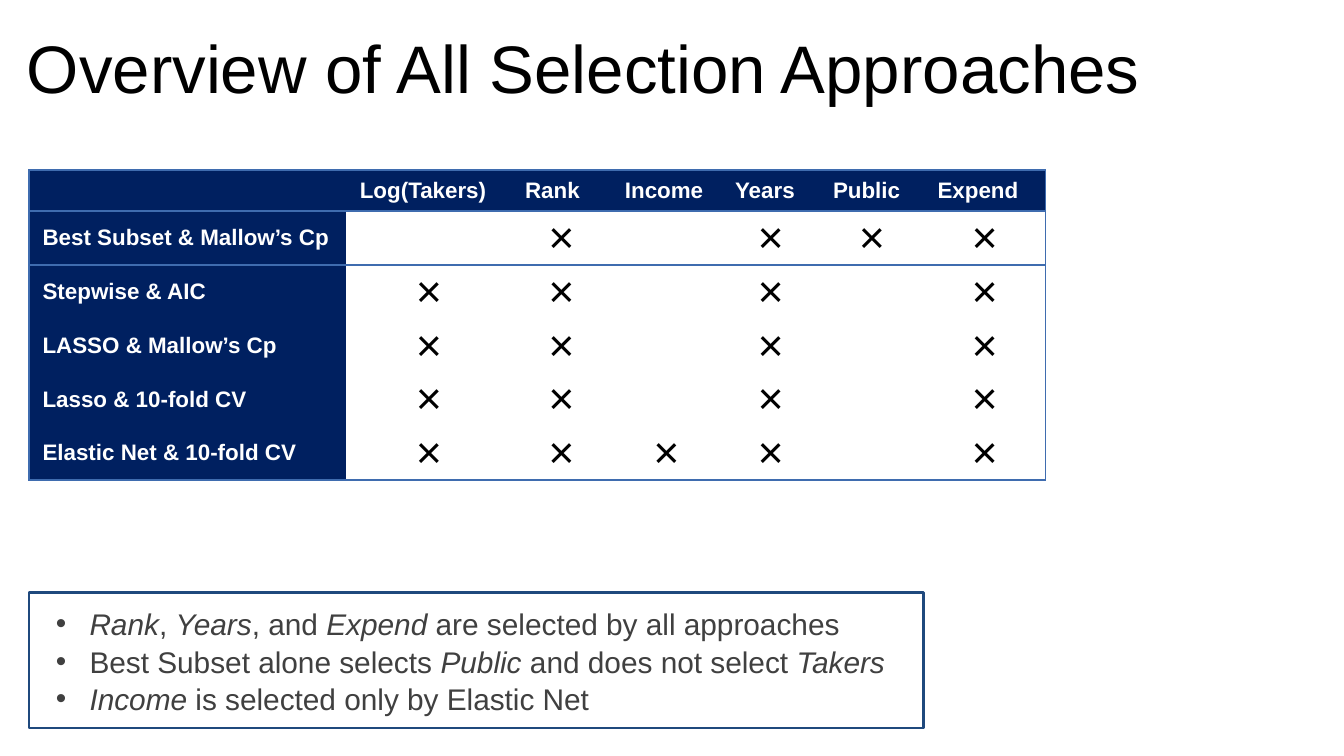
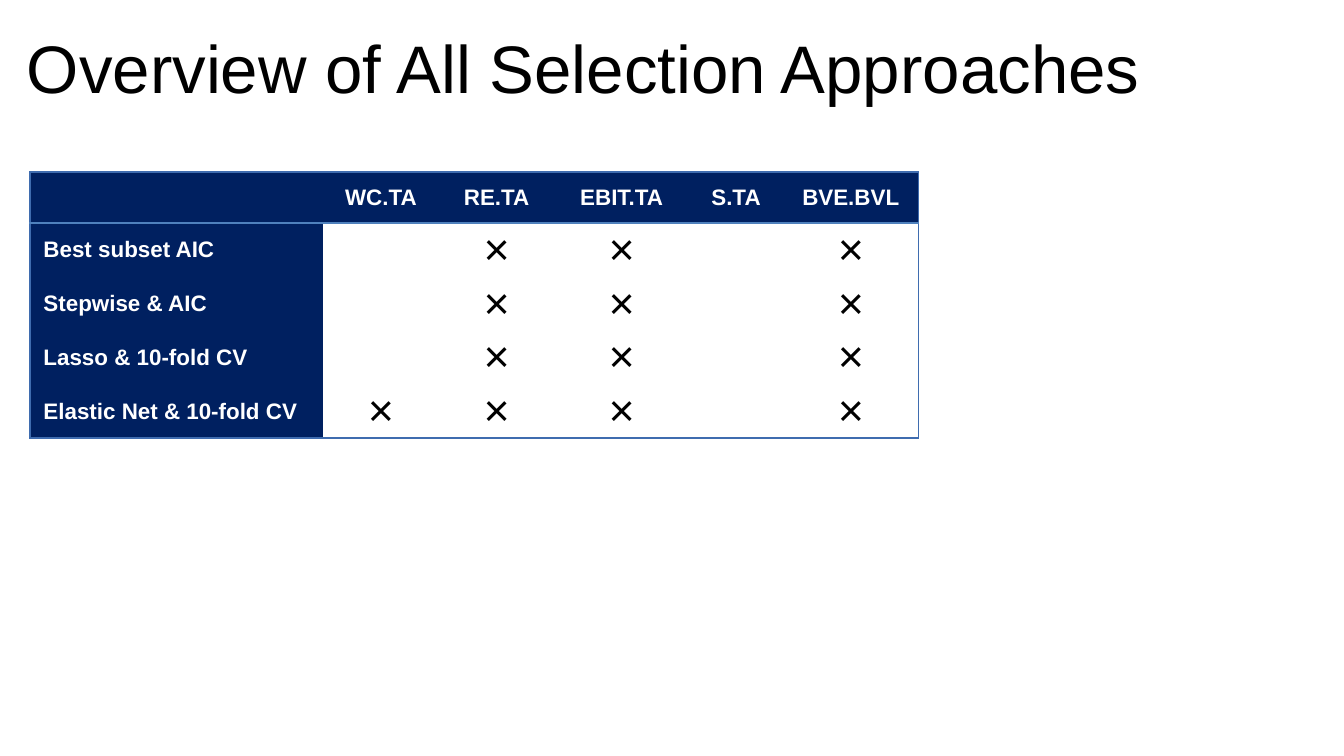
from lxml import etree
from pptx import Presentation
from pptx.dml.color import RGBColor
from pptx.enum.shapes import MSO_SHAPE
from pptx.enum.text import MSO_ANCHOR, MSO_AUTO_SIZE, PP_ALIGN
from pptx.oxml.ns import qn
from pptx.util import Pt

RECT = MSO_SHAPE.RECTANGLE
TOP, MIDDLE = MSO_ANCHOR.TOP, MSO_ANCHOR.MIDDLE
FIXED, GROW = MSO_AUTO_SIZE.NONE, MSO_AUTO_SIZE.SHAPE_TO_FIT_TEXT
LEFT, CENTER = PP_ALIGN.LEFT, PP_ALIGN.CENTER

FONT = "Arial"
BLACK = RGBColor(0x00, 0x00, 0x00)
WHITE = RGBColor(0xFF, 0xFF, 0xFF)
GRAY = RGBColor(0x40, 0x40, 0x40)
NAVY = RGBColor(0x00, 0x20, 0x60)
EDGE = RGBColor(0x3F, 0x6C, 0xAF)
RULE = RGBColor(0x4F, 0x81, 0xBD)
FRAME = RGBColor(0x1F, 0x49, 0x7D)

TITLE = "Overview of All Selection Approaches"
MARK = "×"
ROW_H = 28.8


def write(frame, *lines, size=12, color=BLACK, bold=False, align=LEFT,
          space=None, bullet=False):
    """Write one paragraph per line; text between asterisks is italic."""
    for i, line in enumerate(lines):
        para = frame.paragraphs[0] if i == 0 else frame.add_paragraph()
        if bullet:
            props = para._p.get_or_add_pPr()
            props.set("marL", str(Pt(18)))
            props.set("indent", str(Pt(-18)))
            etree.SubElement(props, qn("a:buFont"), typeface=FONT)
            etree.SubElement(props, qn("a:buChar"), char="•")
        para.alignment = align
        if space:
            para.line_spacing = space
        for j, part in enumerate(line.split("*")):
            if not part:
                continue
            run = para.add_run()
            run.text = part
            font = run.font
            font.name, font.size, font.bold = FONT, Pt(size), bold
            font.italic = j % 2 == 1
            font.color.rgb = color


def inset(frame, side, end):
    """Set the horizontal and vertical margins of a frame or cell."""
    frame.margin_left = frame.margin_right = Pt(side)
    frame.margin_top = frame.margin_bottom = Pt(end)


def add_title(slide, box):
    """Place and format the title in its box."""
    shape = slide.shapes.title
    shape.left, shape.top, shape.width, shape.height = map(Pt, box)
    frame = shape.text_frame
    frame.word_wrap = True
    frame.auto_size = FIXED
    frame.vertical_anchor = TOP
    inset(frame, 7.2, 3.6)
    write(frame, TITLE, size=36, space=Pt(34))


def set_edge(cell, side, color):
    """Draw one cell border, or hide it when there is no color."""
    line = etree.SubElement(cell._tc.get_or_add_tcPr(), qn("a:ln" + side),
                            w=str(Pt(1)))
    if color is None:
        etree.SubElement(line, qn("a:noFill"))
    else:
        fill = etree.SubElement(line, qn("a:solidFill"))
        etree.SubElement(fill, qn("a:srgbClr"), val=str(color))


def add_grid(slide, left, top, widths, head_h, heads, rows, rules, align):
    """Build the table of approaches against the variables they select."""
    count, wide = len(rows) + 1, len(widths)
    shape = slide.shapes.add_table(count, wide, Pt(left), Pt(top),
                                   Pt(sum(widths)),
                                   Pt(head_h + ROW_H * len(rows)))
    table = shape.table
    table.first_row = table.horz_banding = False
    for col, width in zip(table.columns, widths):
        col.width = Pt(width)
    for r, row in enumerate(table.rows):
        row.height = Pt(ROW_H if r else head_h)
    rules = {-1: EDGE, count - 1: EDGE, **rules}
    for r in range(count):
        for c in range(wide):
            cell = table.cell(r, c)
            inset(cell, 7.2, 0)
            cell.vertical_anchor = MIDDLE
            set_edge(cell, "L", EDGE if c == 0 else None)
            set_edge(cell, "R", EDGE if c == wide - 1 else None)
            set_edge(cell, "T", rules.get(r - 1))
            set_edge(cell, "B", rules.get(r))
            cell.fill.solid()
            cell.fill.fore_color.rgb = WHITE if r and c else NAVY
            frame = cell.text_frame
            if r == 0 and c:
                write(frame, heads[c - 1], color=WHITE, bold=True, align=align)
            elif r and c == 0:
                write(frame, rows[r - 1][0], color=WHITE, bold=True)
            elif r and rows[r - 1][1][c - 1] == "x":
                write(frame, MARK, size=24, align=CENTER)


def add_notes(slide, box, *lines):
    """Place the framed list of findings in its box."""
    shape = slide.shapes.add_shape(RECT, *map(Pt, box))
    shape.shadow.inherit = False
    shape.fill.solid()
    shape.fill.fore_color.rgb = WHITE
    shape.line.color.rgb = FRAME
    shape.line.width = Pt(1.5)
    frame = shape.text_frame
    frame.word_wrap = True
    frame.auto_size = GROW
    frame.vertical_anchor = MIDDLE
    inset(frame, 14.4, 7.2)
    write(frame, *lines, size=16, color=GRAY, space=1.05, bullet=True)


def main():
    """Build both slides and save the deck."""
    deck = Presentation()
    deck.slide_width, deck.slide_height = Pt(720), Pt(405)
    layout = deck.slide_layouts[5]

    slide = deck.slides.add_slide(layout)
    add_title(slide, (7.2, 19.6, 660, 42))
    add_grid(slide, 15.6, 91.1, (170, 88.5, 53.5, 59, 52.5, 56, 65), 22,
             ("Log(Takers)", "Rank", "Income", "Years", "Public", "Expend"),
             (("Best Subset & Mallow’s Cp", "-x-xxx"),
              ("Stepwise & AIC", "xx-x-x"),
              ("LASSO & Mallow’s Cp", "xx-x-x"),
              ("Lasso & 10-fold CV", "xx-x-x"),
              ("Elastic Net & 10-fold CV", "xxxx-x")),
             {0: EDGE, 1: EDGE}, LEFT)
    add_notes(slide, (15.6, 317.4, 479, 72.6),
              "*Rank*, *Years*, and *Expend* are selected by all approaches",
              "Best Subset alone selects *Public* and does not select *Takers*",
              "*Income* is selected only by Elastic Net")

    slide = deck.slides.add_slide(layout)
    add_title(slide, (7.2, 19.6, 689, 38))
    add_grid(slide, 16.1, 92.1, (157, 62, 62, 72, 50.5, 72.5), 27.4,
             ("WC.TA", "RE.TA", "EBIT.TA", "S.TA", "BVE.BVL"),
             (("Best subset AIC", "-xx-x"),
              ("Stepwise & AIC", "-xx-x"),
              ("Lasso & 10-fold CV", "-xx-x"),
              ("Elastic Net & 10-fold CV", "xxx-x")),
             {0: RULE}, CENTER)
    deck.save("out.pptx")


if __name__ == "__main__":
    main()
